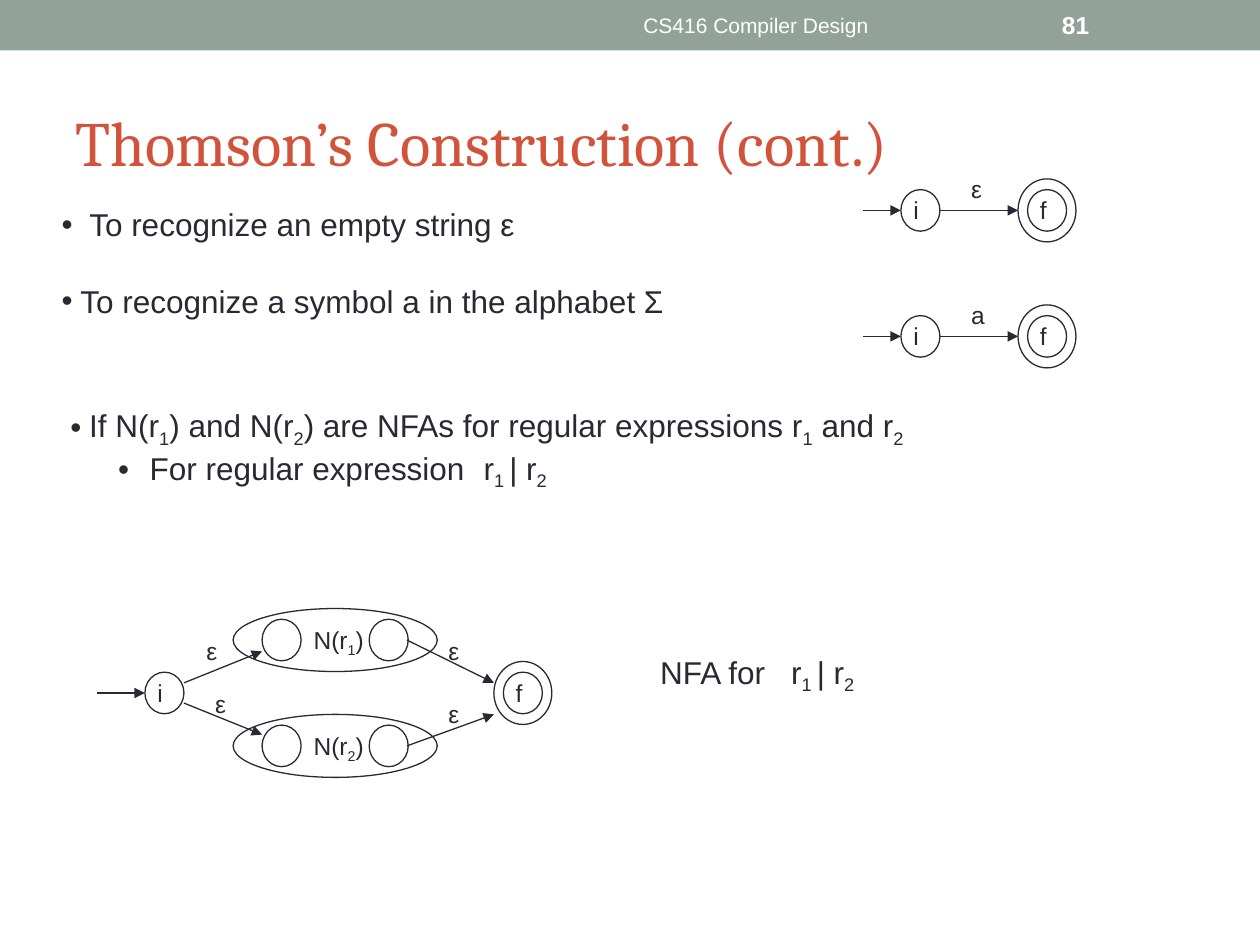
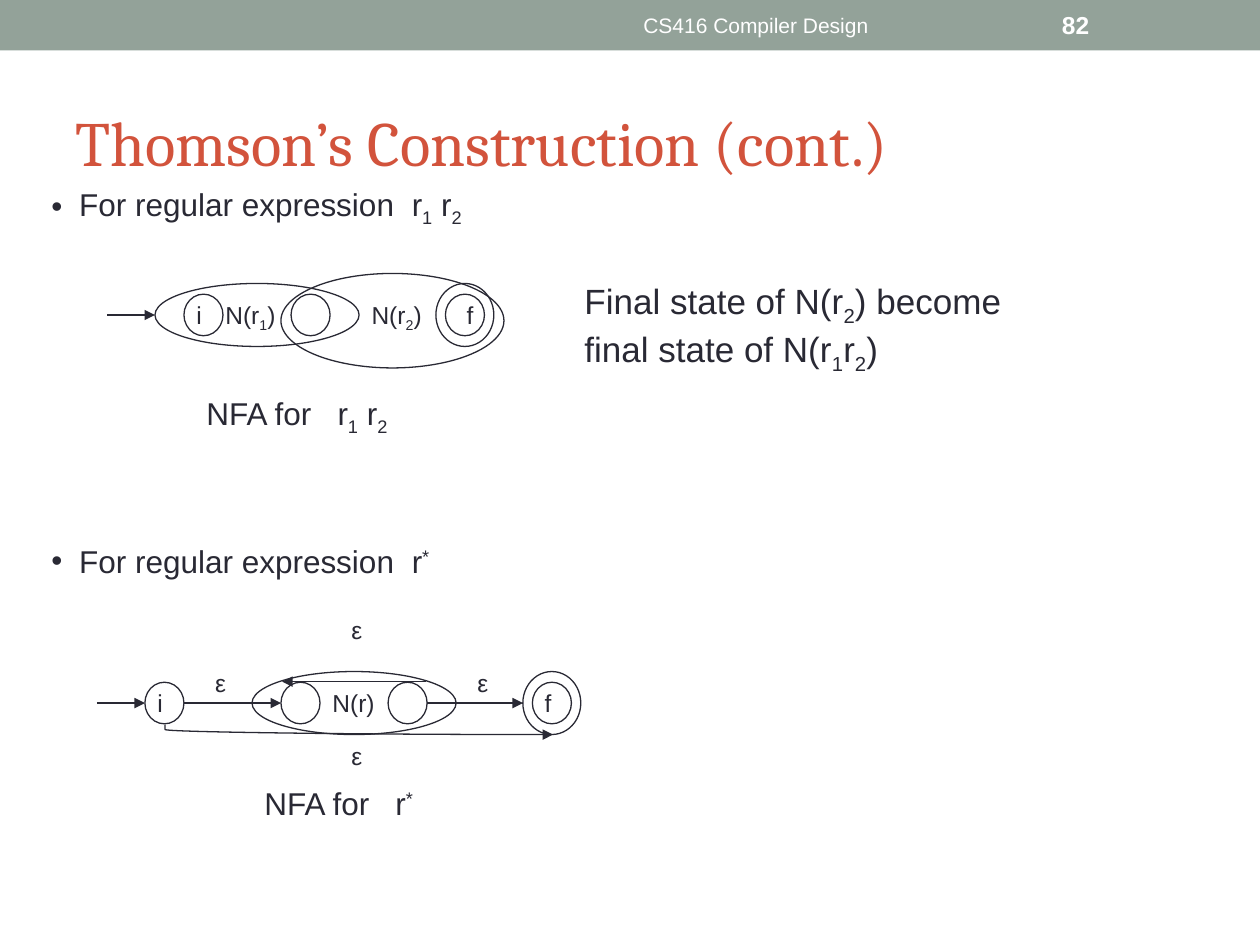
from lxml.etree import SubElement
from pptx import Presentation
from pptx.dml.color import RGBColor
from pptx.enum.shapes import MSO_CONNECTOR as Link, MSO_SHAPE as Shape
from pptx.enum.text import MSO_ANCHOR as Anchor, PP_ALIGN as Align
from pptx.oxml.ns import qn
from pptx.util import Inches, Pt

INK, BAND, ACCENT, WHITE = "292934", "93A299", "D2533C", "FFFFFF"
BODY_FONT, TITLE_FONT = "Arial", "Cambria"
BASELINES = {"_": "-25000", "^": "30000"}
STATE_W, STATE_H = 0.31, 0.33
FINAL_W, FINAL_H = 0.46, 0.5
RING = (FINAL_W - STATE_W) / 2
N_R1 = ("N(r", "_1", ")")
N_R2 = ("N(r", "_2", ")")


def colour(code):
    return RGBColor.from_string(code)


def add_runs(para, runs, size, code, font, bold):
    for text in runs:
        span = para.add_run()
        if text[0] in BASELINES:
            span.font._element.set("baseline", BASELINES[text[0]])
            text = text[1:]
        span.text = text
        span.font.size = Pt(size)
        span.font.name = font
        span.font.bold = bold
        span.font.color.rgb = colour(code)


def set_tab(para, stop):
    tabs = SubElement(para._p.get_or_add_pPr(), qn("a:tabLst"))
    SubElement(tabs, qn("a:tab"), pos=str(Inches(stop)), algn="l")


def add_text(page, left, top, width, height, runs, size=14, code=INK,
             font=BODY_FONT, bold=False, tab=None):
    box = page.shapes.add_textbox(Inches(left), Inches(top), Inches(width), Inches(height))
    box.text_frame.word_wrap = True
    para = box.text_frame.paragraphs[0]
    if tab:
        set_tab(para, tab)
    add_runs(para, runs, size, code, font, bold)
    return box


def add_bullets(page, left, top, width, height, items):
    box = page.shapes.add_textbox(Inches(left), Inches(top), Inches(width), Inches(height))
    frame = box.text_frame
    frame.word_wrap = True
    for index, (margin, hang, gap, tab, runs) in enumerate(items):
        para = frame.add_paragraph() if index else frame.paragraphs[0]
        if gap:
            para.space_before = Pt(gap)
        props = para._p.get_or_add_pPr()
        props.set("marL", str(Inches(margin)))
        props.set("indent", str(Inches(-hang)))
        bullet_colour = SubElement(props, qn("a:buClr"))
        SubElement(bullet_colour, qn("a:srgbClr"), val=INK)
        SubElement(props, qn("a:buFont"), typeface=BODY_FONT)
        SubElement(props, qn("a:buChar"), char="•")
        if tab:
            set_tab(para, tab)
        add_runs(para, runs, 18, INK, BODY_FONT, False)


def add_ellipse(page, left, top, width, height):
    oval = page.shapes.add_shape(Shape.OVAL, Inches(left), Inches(top),
                                 Inches(width), Inches(height))
    oval.shadow.inherit = False
    oval.fill.background()
    oval.line.color.rgb = colour(INK)
    oval.line.width = Pt(0.75)


def add_arrow(page, left, top, end_left, end_top, kind=Link.STRAIGHT):
    arrow = page.shapes.add_connector(kind, Inches(left), Inches(top),
                                      Inches(end_left), Inches(end_top))
    arrow.line.color.rgb = colour(INK)
    arrow.line.width = Pt(0.75)
    SubElement(arrow.line._get_or_add_ln(), qn("a:tailEnd"), type="triangle")
    props = arrow._element.spPr
    SubElement(props, qn("a:effectLst"))
    if kind == Link.CURVE:
        guides = props.find(qn("a:prstGeom")).find(qn("a:avLst"))
        SubElement(guides, qn("a:gd"), name="adj1", fmla="val 0")


def add_state(page, left, mid, name=None):
    add_ellipse(page, left, mid - STATE_H / 2, STATE_W, STATE_H)
    if name:
        add_text(page, left, mid - 0.17, 0.25, 0.34, [name])


def add_final_state(page, left, mid, shift=0):
    add_ellipse(page, left, mid - FINAL_H / 2, FINAL_W, FINAL_H)
    add_state(page, left + RING, mid)
    add_text(page, left + RING + shift, mid - 0.17, 0.26, 0.34, ["f"])


def add_sub_nfa(page, left, mid, runs, first=None, name_left=0.54):
    add_ellipse(page, left, mid - 0.25, 1.62, 0.5)
    add_state(page, left + 0.23, mid, first)
    add_state(page, left + 1.08, mid)
    add_text(page, left + name_left, mid - 0.17, 0.61, 0.34, runs)


def add_epsilons(page, left, mid, places):
    for across, down in places:
        add_text(page, left + across, mid + down, 0.29, 0.34, ["ε"])


def add_caption(page, left, top, runs):
    add_text(page, left, top, 1.79, 0.4, ["NFA for\tr", *runs], 18, tab=1.04)


def draw_symbol_nfa(page, left, mid, symbol):
    add_arrow(page, left, mid, left + 0.3, mid)
    add_state(page, left + 0.3, mid, "i")
    add_arrow(page, left + 0.61, mid, left + 1.23, mid)
    add_final_state(page, left + 1.23, mid)
    add_text(page, left + 0.76, mid - 0.34, 0.31, 0.34, [symbol])


def draw_union_nfa(page, left, mid):
    add_arrow(page, left, mid, left + 0.38, mid)
    add_state(page, left + 0.38, mid, "i")
    for side, runs, end in ((-1, N_R1, -0.08), (1, N_R2, 0.17)):
        branch = mid + side * 0.42
        add_sub_nfa(page, left + 1.08, branch, runs)
        add_arrow(page, left + 0.69, mid + side * 0.08, left + 1.31, mid + side * 0.33)
        add_arrow(page, left + 2.46, branch, left + 3.15, mid + end)
    add_final_state(page, left + 3.15, mid)
    add_epsilons(page, left, mid, [(0.77, -0.5), (0.84, -0.08), (2.69, -0.5), (2.69, 0)])
    add_caption(page, left + 4.37, mid - 0.37, ["_1 ", "| r", "_2"])


def draw_concatenation_nfa(page, left, mid):
    add_arrow(page, left, mid, left + 0.38, mid)
    add_sub_nfa(page, left + 0.38, mid, N_R1, "i", 0.46)
    add_ellipse(page, left + 1.38, mid - 0.33, 1.77, 0.75)
    add_final_state(page, left + 2.61, mid, 0.07)
    add_text(page, left + 2, mid - 0.17, 0.61, 0.34, N_R2)
    add_caption(page, left + 0.69, mid + 0.58, ["_1", " r", "_2"])
    note = ["Final state of N(r", "_2", ") become final state of N(r", "_1", "r", "_2", ")"]
    add_text(page, left + 3.69, mid - 0.33, 4.09, 0.77, note, 20)


def draw_star_nfa(page, left, mid):
    for start, end in ((0, 0.38), (0.69, 1.46), (2.62, 3.38)):
        add_arrow(page, left + start, mid, left + end, mid)
    add_state(page, left + 0.38, mid, "i")
    add_sub_nfa(page, left + 1.23, mid, ["N(r)"])
    add_final_state(page, left + 3.38, mid)
    add_arrow(page, left + 2.61, mid - 0.17, left + 1.47, mid - 0.17, Link.CURVE)
    add_arrow(page, left + 0.54, mid + 0.17, left + 3.62, mid + 0.25, Link.CURVE)
    add_epsilons(page, left, mid, [(0.84, -0.33), (2.92, -0.33), (1.92, 0.25), (1.92, -0.75)])
    add_caption(page, left + 1.23, mid + 0.59, ["^*"])


def add_page(deck, number):
    page = deck.slides.add_slide(deck.slide_layouts[6])
    band = page.shapes.add_shape(Shape.RECTANGLE, 0, 0, deck.slide_width, Inches(0.4))
    band.shadow.inherit = False
    band.fill.solid()
    band.fill.fore_color.rgb = colour(BAND)
    band.line.fill.background()
    course = add_text(page, 3.75, 0.02, 4.5, 0.36, ["CS416 Compiler Design"], 12, WHITE)
    course.text_frame.paragraphs[0].alignment = Align.CENTER
    counter = add_text(page, 8.33, 0.02, 1.17, 0.36, [str(number)], 14, WHITE, bold=True)
    title = add_text(page, 0.5, 0.58, 9, 1.08, ["Thomson’s Construction (cont.)"],
                     36, ACCENT, TITLE_FONT)
    for box in (course, counter, title):
        box.text_frame.vertical_anchor = Anchor.MIDDLE
    return page


def build_basic_rules(deck):
    page = add_page(deck, 81)
    add_bullets(page, 0.39, 1.58, 5.02, 1.31, [
        (0.22, 0.22, 0, None, ["To recognize an empty string ε"]),
        (0.15, 0.15, 22, None, ["To recognize a symbol a in the alphabet Σ"]),
    ])
    add_bullets(page, 0.46, 3.17, 7.84, 0.71, [
        (0.15, 0.15, 0, None, ["If N(r", "_1", ") and N(r", "_2",
                               ") are NFAs for regular expressions r", "_1", " and r", "_2"]),
        (0.63, 0.25, 0, 3.28, ["For regular expression\tr", "_1 ", "| r", "_2"]),
    ])
    for row, symbol in enumerate("εa"):
        draw_symbol_nfa(page, 6.85, 1.67 + row, symbol)
    draw_union_nfa(page, 0.77, 5.5)


def build_sequence_rules(deck):
    page = add_page(deck, 82)
    for top, runs in ((1.42, ["_1", " r", "_2"]), (4.25, ["^*"])):
        add_bullets(page, 0.31, top, 4.08, 0.4, [
            (0.22, 0.22, 0, 2.86, ["For regular expression\tr", *runs]),
        ])
    draw_concatenation_nfa(page, 0.85, 2.5)
    draw_star_nfa(page, 0.77, 5.58)


def main():
    deck = Presentation()
    deck.slide_width, deck.slide_height = Inches(10), Inches(7.5)
    build_basic_rules(deck)
    build_sequence_rules(deck)
    deck.save("out.pptx")


if __name__ == "__main__":
    main()
